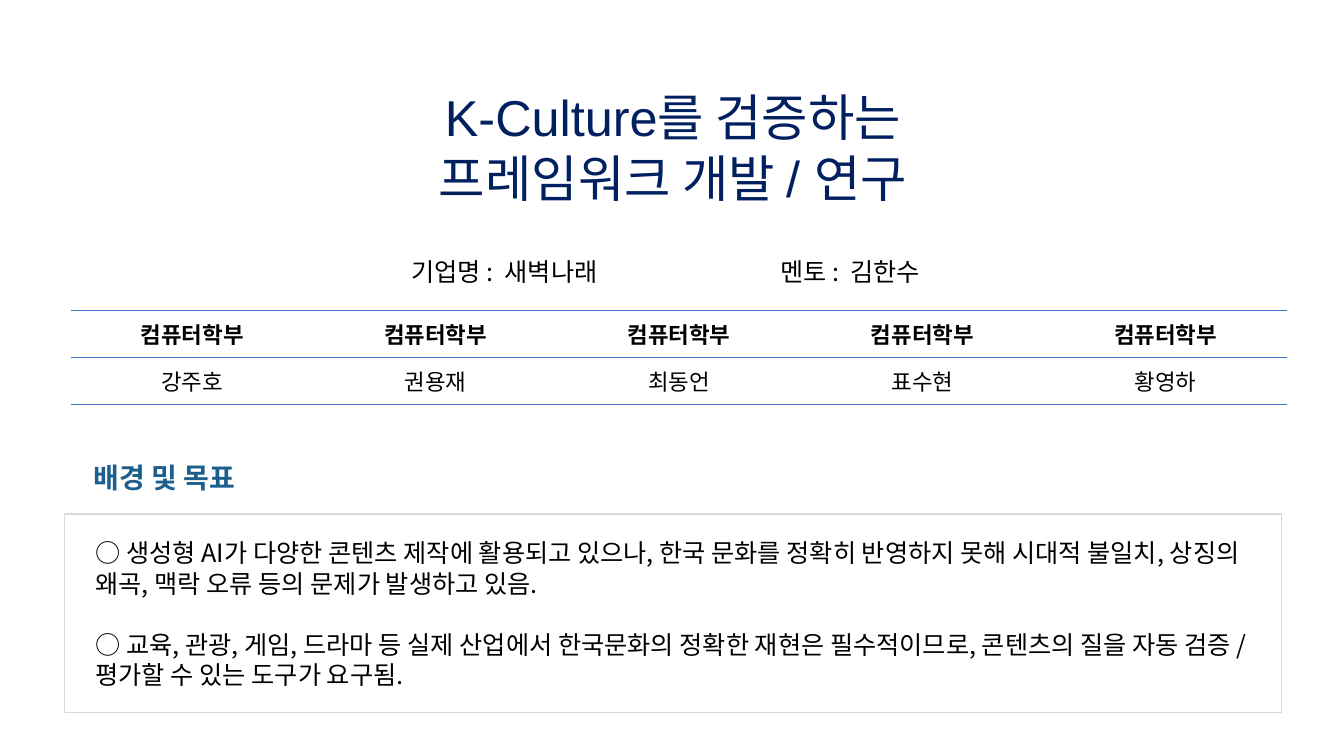
from lxml.etree import SubElement
from pptx import Presentation
from pptx.dml.color import RGBColor
from pptx.enum.shapes import MSO_SHAPE as Shape
from pptx.enum.text import MSO_ANCHOR as Anchor, PP_ALIGN as Align
from pptx.oxml.ns import qn
from pptx.util import Inches, Pt

KOREAN = "Noto Sans CJK KR"
NO_TABLE_STYLE = "{2D5ABB26-0587-4C30-8999-92F81FD0307C}"
NAVY, BLUE, RULE, GREY, BLACK = "002060", "1C5E8D", "4472C4", "D9D9D9", "000000"


def color(code):
    return RGBColor.from_string(code)


class ProjectSlide:
    def __init__(self, deck):
        self.slide = deck.slides.add_slide(deck.slide_layouts[6])
        self.shapes = self.slide.shapes

    def fill_text(self, frame, lines, size, ink=BLACK, font=KOREAN, bold=False, **layout):
        """Fill a text frame, one paragraph per line."""
        for i, line in enumerate(lines):
            paragraph = frame.paragraphs[0] if i == 0 else frame.add_paragraph()
            run = paragraph.add_run()
            run.text = line
            for name, value in {"size": Pt(size), "name": font, "bold": bold}.items():
                setattr(run.font, name, value)
            run.font.color.rgb = color(ink)
            SubElement(run.font._element, qn("a:ea"), typeface=KOREAN)
            for name, value in layout.items():
                if not (i == 0 and name == "space_before"):
                    setattr(paragraph, name, value)

    def text(self, box, lines, size, inset=(0.1, 0.05), **style):
        frame = self.shapes.add_textbox(*map(Inches, box)).text_frame
        across, down = map(Inches, inset)
        margins = {"margin_left": across, "margin_right": across,
                   "margin_top": down, "margin_bottom": down}
        for name, value in {"word_wrap": True, **margins}.items():
            setattr(frame, name, value)
        self.fill_text(frame, lines, size, **style)

    def frame(self, box, line):
        border = self.shapes.add_shape(Shape.RECTANGLE, *map(Inches, box))
        border.shadow.inherit = False
        border.fill.background()
        border.line.color.rgb = color(line)
        border.line.width = Pt(1)

    def rule(self, cell, side):
        edge = SubElement(cell._tc.get_or_add_tcPr(), qn(f"a:{side}"), w=str(Pt(1)))
        fill = SubElement(edge, qn("a:solidFill"))
        SubElement(fill, qn("a:srgbClr"), val=RULE)

    def table(self, box, rows, size):
        grid = self.shapes.add_table(len(rows), len(rows[0]), *map(Inches, box)).table
        grid.first_row = grid.horz_banding = False
        grid._tbl.tblPr.find(qn("a:tableStyleId")).text = NO_TABLE_STYLE
        for r, row in enumerate(rows):
            for c, value in enumerate(row):
                cell = grid.cell(r, c)
                cell.vertical_anchor = Anchor.MIDDLE
                self.fill_text(cell.text_frame, [value], size, bold=r == 0,
                               alignment=Align.CENTER)
                for side in ("lnT", "lnB"):
                    self.rule(cell, side)
                cell.fill.background()


def main():
    deck = Presentation()
    deck.slide_width, deck.slide_height = Inches(13.33), Inches(7.5)
    project = ProjectSlide(deck)

    # Title
    project.text((0.01, 0.8, 13.33, 1.31), ["K-Culture를 검증하는", "프레임워크 개발 / 연구"],
                 36, ink=NAVY, font="Arial", alignment=Align.CENTER,
                 line_spacing=Pt(43.6))

    # Company and mentor
    for left, label in ((3.98, "기업명 :  새벽나래"), (7.64, "멘토 :  김한수")):
        project.text((left, 2.49, 3, 0.4), [label], 18, line_spacing=Pt(21.8))

    # Team members
    members = ["강주호", "권용재", "최동언", "표수현", "황영하"]
    project.table((0.7, 3.08, 12.07, 0.93), [["컴퓨터학부"] * len(members), members], 16)

    # Background and goals
    project.text((0.93, 4.49, 4.59, 0.45), ["배경 및 목표"], 20, inset=(0, 0),
                 ink=BLUE, font="Arial", bold=True, line_spacing=1.24)
    project.frame((0.64, 5.1, 12.07, 1.97), GREY)
    goals = [
        "○ 생성형 AI가 다양한 콘텐츠 제작에 활용되고 있으나, 한국 문화를 정확히 반영하지 못해 "
        "시대적 불일치, 상징의 왜곡, 맥락 오류 등의 문제가 발생하고 있음.",
        "○ 교육, 관광, 게임, 드라마 등 실제 산업에서 한국문화의 정확한 재현은 필수적이므로, "
        "콘텐츠의 질을 자동 검증 / 평가할 수 있는 도구가 요구됨.",
    ]
    project.text((0.85, 5.28, 11.63, 1.62), goals, 18, line_spacing=Pt(21.8),
                 space_before=Pt(21.8))

    deck.save("out.pptx")


if __name__ == "__main__":
    main()
